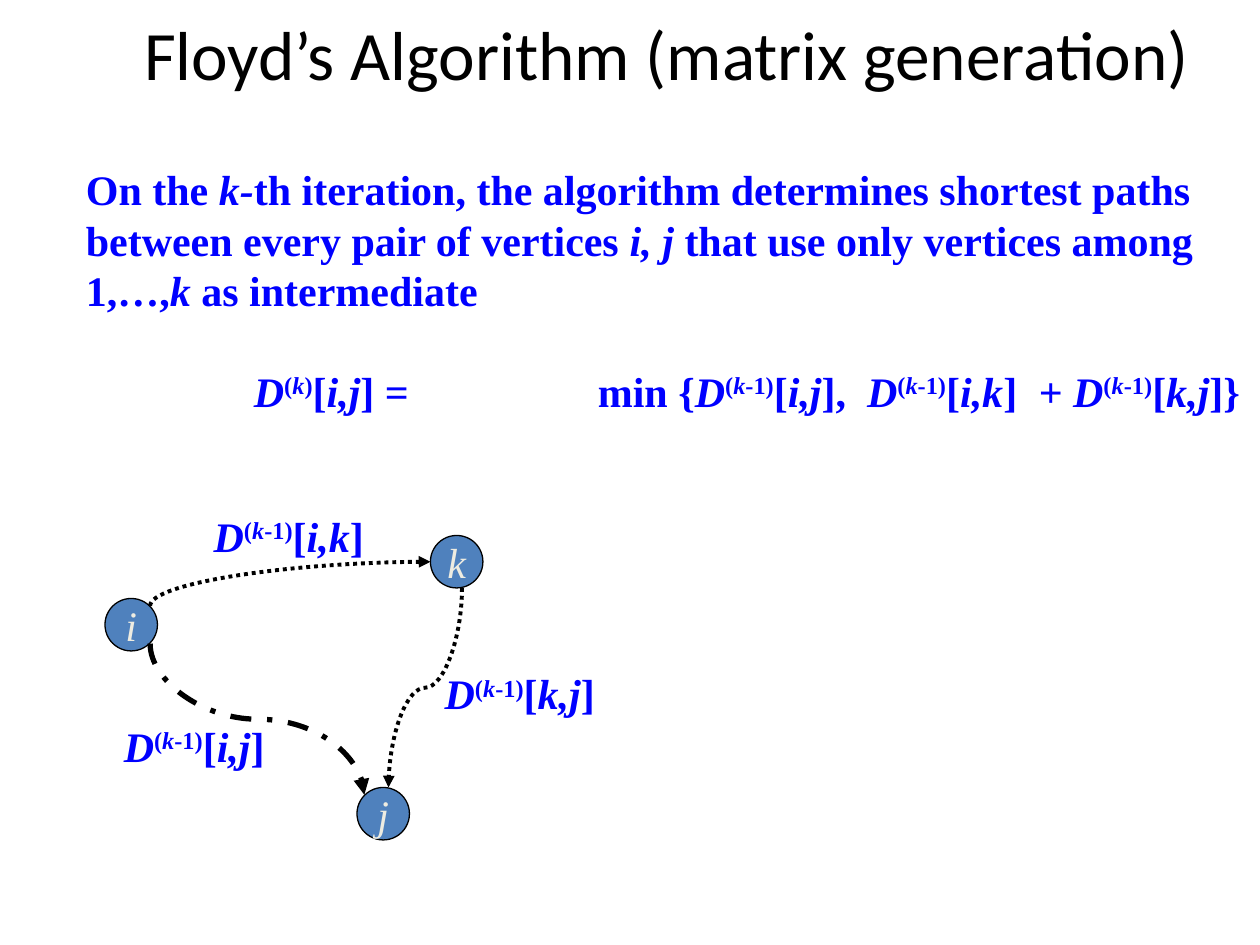
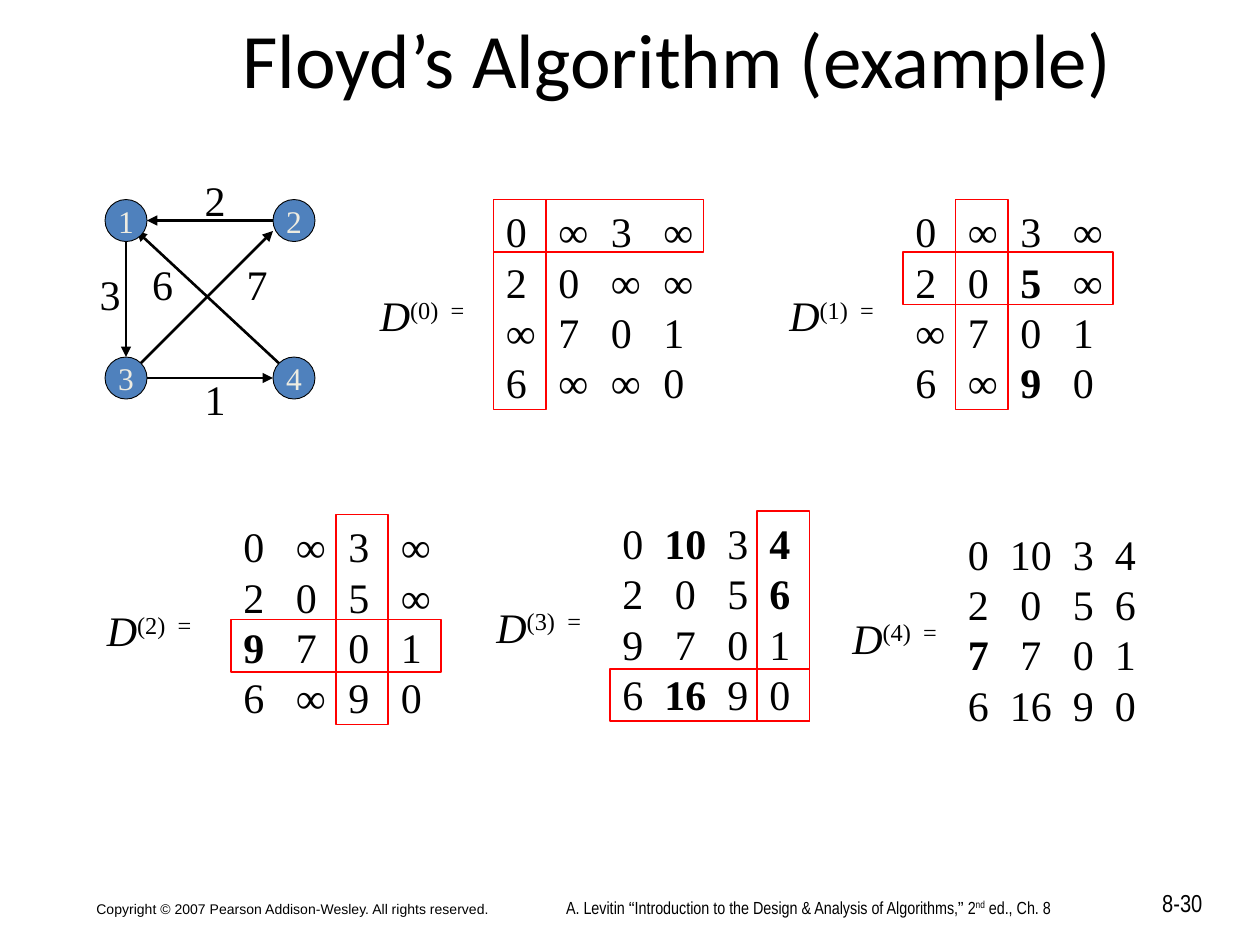
from typing import NamedTuple

from lxml import etree
from pptx import Presentation
from pptx import util as u
from pptx.dml.color import RGBColor
from pptx.enum import dml, shapes, text
from pptx.oxml import ns

# Shared look: the page is a grid of 120 columns by 90 rows
COLUMNS, ROWS = 120, 90
PAGE_WIDTH, PAGE_HEIGHT = u.Inches(10), u.Inches(7.5)
CELL = PAGE_WIDTH // COLUMNS
BLACK = RGBColor(0x00, 0x00, 0x00)
BLUE = RGBColor(0x00, 0x00, 0xFF)
RED = RGBColor(0xFF, 0x00, 0x00)
NODE_FILL = RGBColor(0x4F, 0x81, 0xBD)
NODE_TEXT = RGBColor(0xEE, 0xEC, 0xE1)
SERIF, SANS, NARROW, TITLE_FONT = "Times New Roman", "Arial", "Arial Narrow", "Calibri"
LEFT, CENTER, RIGHT = text.PP_ALIGN.LEFT, text.PP_ALIGN.CENTER, text.PP_ALIGN.RIGHT
TOP, MIDDLE, BOTTOM = (text.MSO_ANCHOR.TOP, text.MSO_ANCHOR.MIDDLE,
                       text.MSO_ANCHOR.BOTTOM)


class Box(NamedTuple):
    left: float
    top: float
    width: float
    height: float


class Node(NamedTuple):
    name: str
    left: float
    top: float


class Link(NamedTuple):
    start: tuple[float, float]
    end: tuple[float, float]
    head: bool = False


class Curve(NamedTuple):
    start: tuple[float, float]
    end: tuple[float, float]
    preset: str
    width: float
    dash: dml.MSO_LINE


class Label(NamedTuple):
    words: str
    left: float
    top: float


class Tab(NamedTuple):
    column: float
    align: str = "l"


class Matrix(NamedTuple):
    left: float
    top: float
    label_gap: float
    tabs: tuple[Tab, ...]
    rows: tuple[str, ...]
    pivot: bool = True


def grid(value: float) -> int:
    return round(value * CELL)


def place(box: Box) -> tuple[int, ...]:
    return tuple(grid(value) for value in box)


# Text: "_" toggles italic, "*" bold, "^" superscript, "~" the second font
def write(para, words: str, *, size: float, font: str = SERIF,
          color: RGBColor = BLACK, bold: bool = False, italic: bool = False,
          second_font: str = SANS, align=LEFT, tabs: tuple[Tab, ...] = (),
          indent: float = 0, space_before: float = 0) -> None:
    para.alignment = align
    if space_before:
        para.space_before = u.Pt(space_before)
    props = para._p.get_or_add_pPr()
    if indent:
        props.set("marL", str(grid(indent)))
    if tabs:
        stops = etree.SubElement(props, ns.qn("a:tabLst"))
        for tab in tabs:
            etree.SubElement(stops, ns.qn("a:tab"), pos=str(grid(tab.column)),
                             algn=tab.align)
    state = {"*": bold, "_": italic, "^": False, "~": False}
    chunk = ""
    for sign in words + "\0":
        if sign not in state and sign != "\0":
            chunk += sign
            continue
        if chunk:
            span = para.add_run()
            span.text, chunk = chunk, ""
            span.font.size = u.Pt(size)
            span.font.name = second_font if state["~"] else font
            span.font.color.rgb = color
            span.font.bold, span.font.italic = state["*"], state["_"]
            if state["^"]:
                span.font._element.set("baseline", "30000")
        if sign in state:
            state[sign] = not state[sign]


def add_text(page, box: Box, *lines: str, anchor=TOP, **style) -> None:
    frame = page.shapes.add_textbox(*place(box)).text_frame
    frame.word_wrap = True
    frame.vertical_anchor = anchor
    for index, line in enumerate(lines):
        para = frame.add_paragraph() if index else frame.paragraphs[0]
        write(para, line, **style)


def add_page(deck, title: str, box: Box, size: float):
    page = deck.slides.add_slide(deck.slide_layouts.get_by_name("Title Only"))
    holder = page.shapes.title
    holder.left, holder.top, holder.width, holder.height = place(box)
    frame = holder.text_frame
    frame.auto_size = text.MSO_AUTO_SIZE.NONE
    frame.vertical_anchor = MIDDLE
    write(frame.paragraphs[0], title, size=size, font=TITLE_FONT, align=CENTER)
    return page


# Graph parts
def add_node(page, node: Node, side: float, line_width: float, **style) -> None:
    circle = page.shapes.add_shape(shapes.MSO_SHAPE.OVAL,
                                   *place(Box(node.left, node.top, side, side)))
    circle.shadow.inherit = False
    circle.fill.solid()
    circle.fill.fore_color.rgb = NODE_FILL
    circle.line.color.rgb = BLACK
    circle.line.width = u.Pt(line_width)
    frame = circle.text_frame
    frame.word_wrap = False
    frame.vertical_anchor = MIDDLE
    write(frame.paragraphs[0], node.name, color=NODE_TEXT, align=CENTER, **style)


def finish_line(connector, width: float, arrow: str) -> None:
    connector.line.color.rgb = BLACK
    connector.line.width = u.Pt(width)
    etree.SubElement(connector.line._get_or_add_ln(), ns.qn(f"a:{arrow}"),
                     type="triangle")
    etree.SubElement(connector._element.spPr, ns.qn("a:effectLst"))


def add_link(page, link: Link) -> None:
    connector = page.shapes.add_connector(
        shapes.MSO_CONNECTOR.STRAIGHT, *map(grid, link.start + link.end))
    finish_line(connector, 1.5, "headEnd" if link.head else "tailEnd")


def add_curve(page, curve: Curve) -> None:
    """Draw a curve that leaves its start vertically, as a turned connector."""
    (x1, y1), (x2, y2) = curve.start, curve.end
    across, down = x2 - x1, y2 - y1
    middle_x, middle_y = (x1 + x2) / 2, (y1 + y2) / 2
    reach = -down / 2 if across > 0 else down / 2
    rise = abs(across) / 2
    connector = page.shapes.add_connector(
        shapes.MSO_CONNECTOR.CURVE, grid(middle_x - reach), grid(middle_y - rise),
        grid(middle_x + reach), grid(middle_y + rise))
    props = connector._element.spPr
    props.find(ns.qn("a:xfrm")).set("rot", str((270 if across > 0 else 90) * 60000))
    props.find(ns.qn("a:prstGeom")).set("prst", curve.preset)
    connector.line.dash_style = curve.dash
    finish_line(connector, curve.width, "tailEnd")


# Distance matrices
def add_frame(page, box: Box) -> None:
    frame = page.shapes.add_shape(shapes.MSO_SHAPE.RECTANGLE, *place(box))
    frame.shadow.inherit = False
    frame.fill.background()
    frame.line.color.rgb = RED
    frame.line.width = u.Pt(1)


def add_matrix(page, step: int, matrix: Matrix) -> None:
    left, top = matrix.left, matrix.top
    add_text(page, Box(left, top, 21, 20.6), *matrix.rows, size=24, tabs=matrix.tabs)
    add_text(page, Box(left - matrix.label_gap, top + 8, 13, 6),
             f"_D_^({step})\t=", size=24, tabs=(Tab(6.75),))
    if matrix.pivot:
        starts = [0] + [tab.column for tab in matrix.tabs]
        add_frame(page, Box(left, top + 5 * step, starts[-1] + 5, 5))
        add_frame(page, Box(left + starts[step], top, 5, 20))


def power(step: str, cell: str) -> str:
    return f"_D_^({step})^[_{cell}_]"


# Slide 1: the recurrence
PREVIOUS = "_k_-1"
RULE = "On the_ k-_th iteration, the algorithm determines shortest paths between " \
       "every pair of vertices _i, j _that use only vertices among 1,…,_k _as intermediate"
FORMULA = (power("_k_", "i,j") + " =\tmin {" + power(PREVIOUS, "i,j") + ",\t"
           + power(PREVIOUS, "i,k") + "\t+ " + power(PREVIOUS, "k,j") + "}")
FORMULA_TABS = (Tab(32.75), Tab(58.4), Tab(74.75))
PATH_NODES = (Node("i", 10, 57), Node("j", 34, 75), Node("k", 41, 51))
CURVES = (
    Curve((14.3, 61.3), (34.7, 75.7), "curvedConnector3", 3, dml.MSO_LINE.DASH_DOT),
    Curve((14.3, 57.7), (41, 53.5), "curvedConnector2", 2.25, dml.MSO_LINE.ROUND_DOT),
    Curve((44, 56), (37, 75), "curvedConnector3", 2.25, dml.MSO_LINE.ROUND_DOT),
)
PATH_LABELS = (Label("i,j", 9, 68), Label("i,k", 18, 48), Label("k,j", 40, 63))


def build_generation(deck) -> None:
    page = add_page(deck, "Floyd’s Algorithm (matrix generation)",
                    Box(7, 0, 113, 10), 39.6)
    style = dict(size=24, color=BLUE, bold=True)
    add_text(page, Box(7, 15, 113, 30), RULE, **style)
    formula = page.shapes[-1].text_frame.add_paragraph()
    write(formula, FORMULA, indent=16, tabs=FORMULA_TABS, space_before=28.8, **style)
    for node in PATH_NODES:
        add_node(page, node, 5, 0.75, size=24, italic=True)
    for curve in CURVES:
        add_curve(page, curve)
    for label in PATH_LABELS:
        add_text(page, Box(label.left, label.top, 19, 6),
                 power(PREVIOUS, label.words), align=CENTER, **style)


# Slide 2: a worked example
EVEN_TABS = (Tab(5), Tab(10), Tab(15))
WIDE_TABS = (Tab(6, "ctr"), Tab(10), Tab(14))
MATRICES = (
    Matrix(47, 19, 12, EVEN_TABS,
           ("0\t∞\t3\t∞", "2\t0\t∞\t∞", "∞\t7\t0\t1", "6\t∞\t∞\t0")),
    Matrix(86, 19, 12, EVEN_TABS,
           ("0\t∞\t3\t∞", "2\t0\t*5*\t∞", "∞\t7\t0\t1", "6\t∞\t*9*\t0")),
    Matrix(22, 49, 13, EVEN_TABS,
           ("0\t∞\t3\t∞", "2\t0\t5\t∞", "*9*\t7\t0\t1", "6\t∞\t9\t0")),
    Matrix(58.1, 48.7, 12, WIDE_TABS,
           ("0\t*10*\t3\t*4*", "2\t0\t5\t*6*", "9\t7\t0\t1", "6\t*16*\t9\t0")),
    Matrix(91, 49.7, 11, WIDE_TABS,
           ("0\t10\t3\t4", "2\t0\t5\t6", "*7*\t7\t0\t1", "6\t16\t9\t0"), pivot=False),
)
LINKS = (
    Link((12, 23), (12, 34)), Link((14, 21), (26, 21), head=True),
    Link((14, 36), (26, 36)), Link((13, 35), (26, 22)), Link((27, 35), (13, 22)),
)
WEIGHTS = (Label("1", 18, 35), Label("3", 8, 25), Label("2", 18, 16),
           Label("6", 13, 24), Label("7", 22, 24))


def add_footers(page) -> None:
    add_text(page, Box(90.7, 84, 25, 4), "8-30", size=14, font=NARROW, align=RIGHT)
    add_text(page, Box(8, 81, 51, 7),
             "Copyright © 2007 Pearson Addison-Wesley. All rights reserved.",
             size=8, font=SANS, anchor=BOTTOM)
    add_text(page, Box(35, 84.8, 84, 4),
             "A. Levitin ~“~Introduction to the Design & Analysis of Algorithms,~”~"
             " 2^nd^ ed., Ch. 8", size=10, font=NARROW, align=CENTER)


def build_example(deck) -> None:
    page = add_page(deck, "Floyd’s Algorithm (example)", Box(9, 0, 111, 11), 44)
    add_footers(page)
    for step, matrix in enumerate(MATRICES):
        add_matrix(page, step, matrix)
    for link in LINKS:
        add_link(page, link)
    for weight in WEIGHTS:
        add_text(page, Box(weight.left, weight.top, 5, 6), weight.words,
                 size=24, align=CENTER)
    for index in range(4):
        row, column = divmod(index, 2)
        add_node(page, Node(str(index + 1), 10 + 16 * column, 19 + 15 * row),
                 4, 0.5, size=18)


def main() -> None:
    deck = Presentation()
    deck.slide_width, deck.slide_height = PAGE_WIDTH, PAGE_HEIGHT
    build_generation(deck)
    build_example(deck)
    deck.save("out.pptx")


if __name__ == "__main__":
    main()
